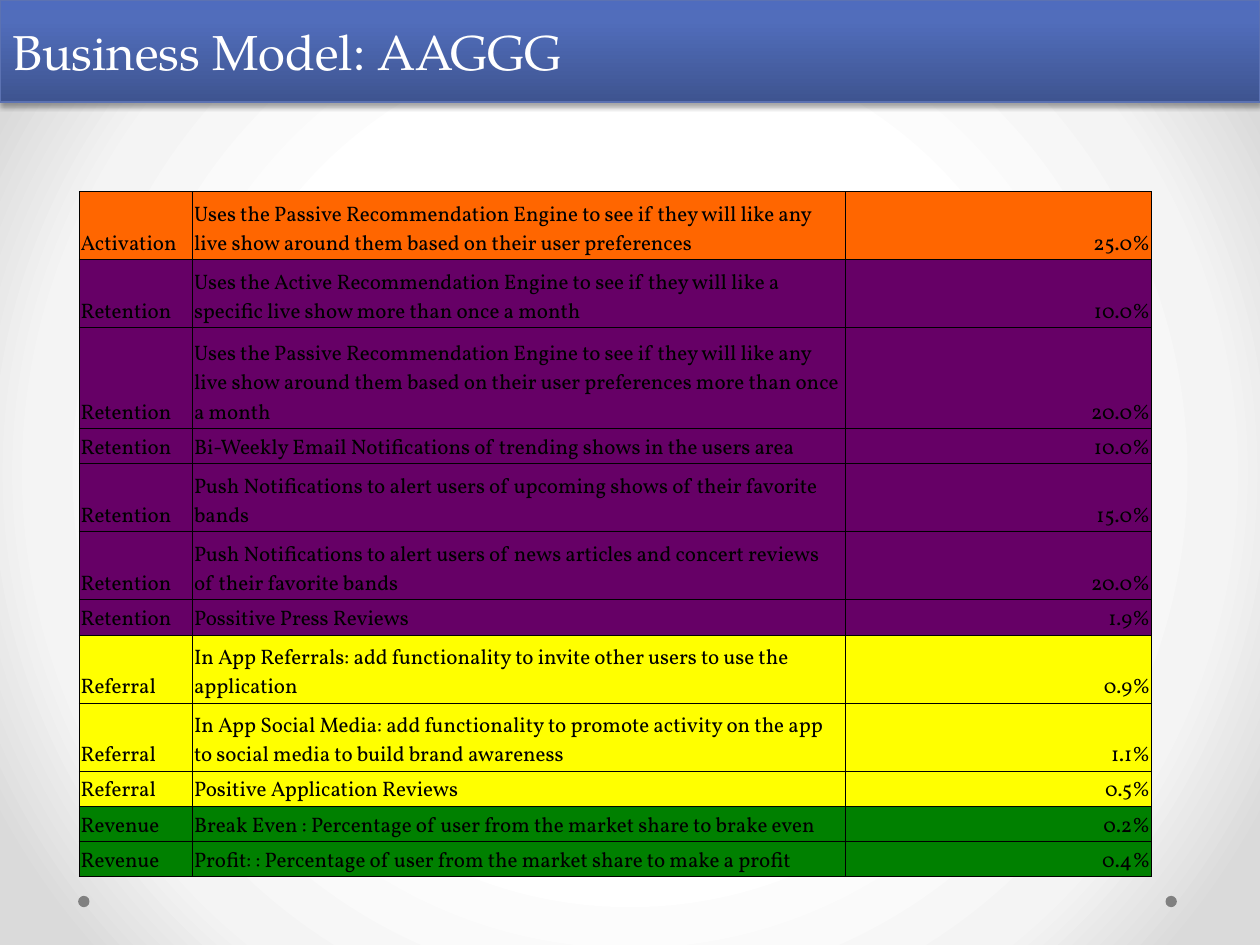
from pptx import Presentation
from pptx.dml.color import RGBColor
from pptx.enum.shapes import MSO_SHAPE as Shape
from pptx.enum.text import MSO_ANCHOR as Anchor, PP_ALIGN as Align
from pptx.oxml import parse_xml
from pptx.oxml.ns import nsdecls, qn
from pptx.util import Inches, Pt

BLACK = RGBColor(0x00, 0x00, 0x00)
WHITE = RGBColor(0xFF, 0xFF, 0xFF)
GRAY = RGBColor(0x80, 0x80, 0x80)
BANNER_LINE = RGBColor(0x5C, 0x72, 0xB2)
BANNER_STOPS = [(0, RGBColor(0x3E, 0x54, 0x90)),
                (80, RGBColor(0x51, 0x6D, 0xBB)),
                (100, RGBColor(0x4F, 0x6C, 0xBE))]
BACKGROUND_STOPS = [(50, WHITE),
                    (76, RGBColor(0xF4, 0xF4, 0xF4)),
                    (92, RGBColor(0xDA, 0xDA, 0xDA))]
STAGE_COLORS = {
    "Activation": RGBColor(0xFF, 0x66, 0x00),
    "Retention": RGBColor(0x66, 0x00, 0x66),
    "Referral": RGBColor(0xFF, 0xFF, 0x00),
    "Revenue": RGBColor(0x00, 0x80, 0x00),
}

# Row height by number of text lines
LINE_HEIGHTS = {1: 0.28, 2: 0.54, 3: 0.8}
COLUMN_WIDTHS = [0.9, 5.18, 2.43]
METRICS = [  # stage, user action, share, text lines
    ("Activation", "Uses the Passive Recommendation Engine to see if they will like "
     "any live show around them based on their user preferences", "25.0%", 2),
    ("Retention", "Uses the Active Recommendation Engine to see if they will like "
     "a specific live show more than once a month", "10.0%", 2),
    ("Retention", "Uses the Passive Recommendation Engine to see if they will like "
     "any live show around them based on their user preferences more than once a month",
     "20.0%", 3),
    ("Retention", "Bi-Weekly Email Notifications of trending shows in the users area",
     "10.0%", 1),
    ("Retention", "Push Notifications to alert users of upcoming shows of their "
     "favorite bands", "15.0%", 2),
    ("Retention", "Push Notifications to alert users of news articles and concert "
     "reviews of their favorite bands", "20.0%", 2),
    ("Retention", "Possitive Press Reviews", "1.9%", 1),
    ("Referral", "In App Referrals: add functionality to invite other users to use "
     "the application", "0.9%", 2),
    ("Referral", "In App Social Media: add functionality to promote activity on the "
     "app to social media to build brand awareness", "1.1%", 2),
    ("Referral", "Positive Application Reviews", "0.5%", 1),
    ("Revenue", "Break Even : Percentage of user from the market share to brake even",
     "0.2%", 1),
    ("Revenue", "Profit: : Percentage of user from the market share to make a profit",
     "0.4%", 1),
]


class SlideBuilder:
    title_font, title_size = "TeX Gyre Pagella", 28
    body_font, body_size = "Vollkorn", 12

    def __init__(self, slide):
        self.slide = slide

    def gradient(self, fill, owner, stops, direction):
        fill.gradient()
        grad = next(owner.iter(qn("a:gradFill")))
        marks = "".join(f'<a:gs pos="{pos * 1000}"><a:srgbClr val="{color}"/></a:gs>'
                        for pos, color in stops)
        grad.getparent().replace(grad, parse_xml(
            f'<a:gradFill {nsdecls("a")} rotWithShape="1">'
            f'<a:gsLst>{marks}</a:gsLst>{direction}</a:gradFill>'))

    def background(self, stops):
        self.gradient(self.slide.background.fill, self.slide.element, stops,
                      '<a:path path="circle"><a:fillToRect l="50000" t="50000" '
                      'r="50000" b="50000"/></a:path>')

    def add_text(self, para, text, font, size, color, align=Align.LEFT):
        para.alignment = align
        span = para.add_run()
        span.text = text
        span.font.name, span.font.size = font, Pt(size)
        span.font.color.rgb = color

    def banner(self, text, width, height):
        box = self.slide.shapes.title
        box.left, box.top = Inches(0), Inches(0)
        box.width, box.height = Inches(width), Inches(height)
        properties = box.element.spPr
        self.gradient(box.fill, properties, BANNER_STOPS,
                      '<a:lin ang="16200000" scaled="0"/>')
        box.line.color.rgb, box.line.width = BANNER_LINE, Pt(0.75)
        properties.append(parse_xml(
            f'<a:effectLst {nsdecls("a")}><a:outerShdw blurRad="{Pt(3.1)}" '
            f'dist="{Pt(1.8)}" dir="5400000" rotWithShape="0"><a:srgbClr val="{BLACK}">'
            '<a:alpha val="35000"/></a:srgbClr></a:outerShdw></a:effectLst>'))
        box.text_frame.vertical_anchor = Anchor.MIDDLE
        self.add_text(box.text_frame.paragraphs[0], text,
                      self.title_font, self.title_size, WHITE)

    def dot(self, left, top, size):
        dot = self.slide.shapes.add_shape(
            Shape.OVAL, Inches(left), Inches(top), Inches(size), Inches(size))
        dot.shadow.inherit = False
        dot.fill.solid()
        dot.fill.fore_color.rgb = GRAY
        dot.line.fill.background()

    def cell(self, cell, text, color, align):
        cell.margin_left = cell.margin_right = cell.margin_top = Inches(0.01)
        cell.margin_bottom = Inches(0)
        cell.vertical_anchor = Anchor.BOTTOM
        cell.fill.solid()
        cell.fill.fore_color.rgb = color
        properties = cell._tc.get_or_add_tcPr()
        for index, side in enumerate(("lnL", "lnR", "lnT", "lnB")):
            properties.insert(index, parse_xml(
                f'<a:{side} {nsdecls("a")} w="{Pt(0.5)}"><a:solidFill>'
                f'<a:srgbClr val="{BLACK}"/></a:solidFill></a:{side}>'))
        self.add_text(cell.text_frame.paragraphs[0], text,
                      self.body_font, self.body_size, BLACK, align)

    def table(self, left, top, widths, metrics):
        heights = [LINE_HEIGHTS[lines] for *_, lines in metrics]
        table = self.slide.shapes.add_table(
            len(metrics), len(widths), Inches(left), Inches(top),
            Inches(sum(widths)), Inches(sum(heights))).table
        table.first_row = table.horz_banding = False
        for column, width in zip(table.columns, widths):
            column.width = Inches(width)
        aligns = (Align.LEFT, Align.LEFT, Align.RIGHT)
        for row, height, (*texts, _) in zip(table.rows, heights, metrics):
            row.height = Inches(height)
            for cell, text, align in zip(row.cells, texts, aligns):
                self.cell(cell, text, STAGE_COLORS[texts[0]], align)


deck = Presentation()
deck.slide_width, deck.slide_height = Inches(10), Inches(7.5)
page = SlideBuilder(deck.slides.add_slide(deck.slide_layouts[5]))

# Backdrop with the two corner dots
page.background(BACKGROUND_STOPS)
for dot_left in (9.25, 0.62):
    page.dot(dot_left, 7.11, 0.09)

# Title banner
page.banner("Business Model: AAGGG", 10, 0.81)

# Funnel metrics, coloured by stage
page.table(0.63, 1.52, COLUMN_WIDTHS, METRICS)

deck.save("out.pptx")
